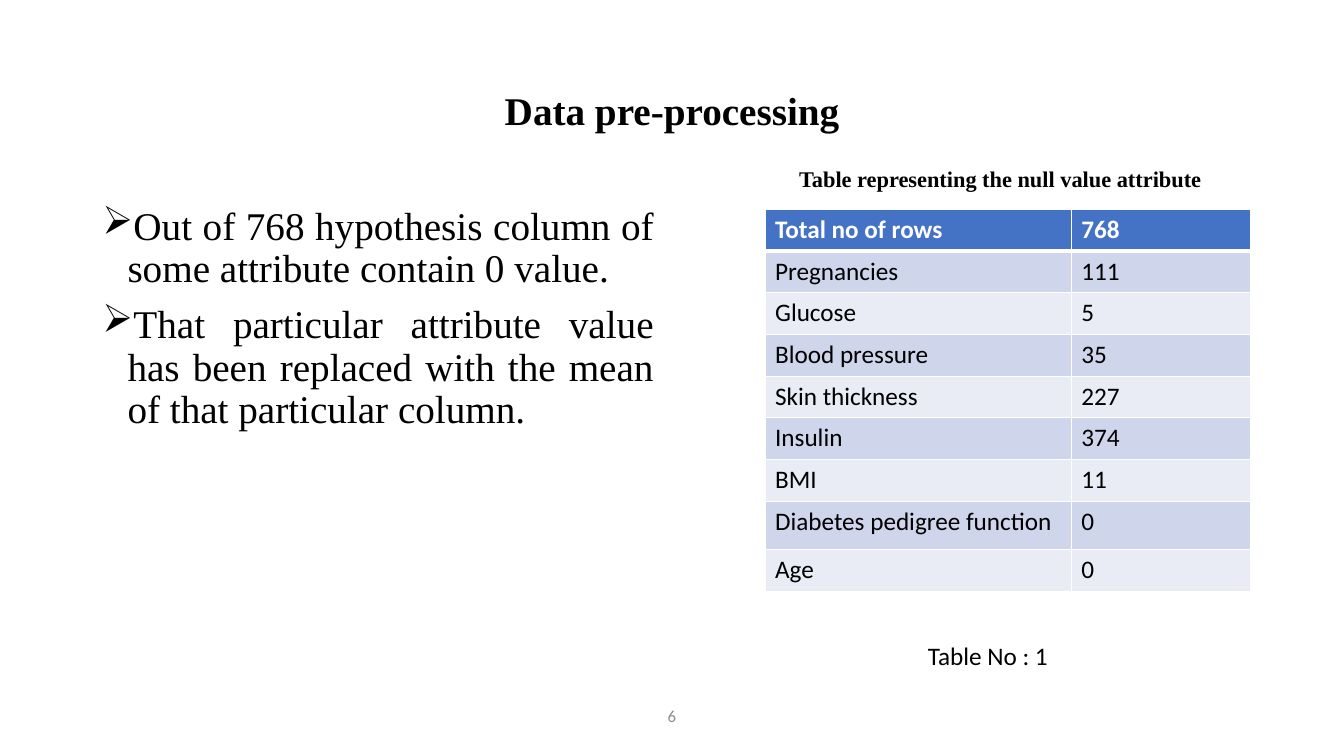
from lxml import etree
from pptx import Presentation
from pptx.dml.color import RGBColor
from pptx.enum.text import MSO_ANCHOR, PP_ALIGN
from pptx.oxml.ns import qn
from pptx.util import Cm, Pt

LEFT, MID, JUST = PP_ALIGN.LEFT, PP_ALIGN.CENTER, PP_ALIGN.JUSTIFY
TOP, CENTRE = MSO_ANCHOR.TOP, MSO_ANCHOR.MIDDLE
SERIF, SANS = "Times New Roman", "Calibri"
HUES = {
    "ink": "000000", "white": "FFFFFF", "grey": "8C8C8C",
    "head": "4472C4", "dark": "CFD5EA", "light": "E9EBF5",
}

TITLE = "Data pre-processing"
POINTS = [
    "Out of 768 hypothesis column of some attribute contain 0 value.",
    "That particular attribute value has been replaced with the mean "
    "of that particular column.",
]
CAPTION = "Table representing the null value attribute"
ROWS = [
    ("Total no of rows", "768"),
    ("Pregnancies", "111"),
    ("Glucose", "5"),
    ("Blood pressure", "35"),
    ("Skin thickness", "227"),
    ("Insulin", "374"),
    ("BMI", "11"),
    ("Diabetes pedigree function", "0"),
    ("Age", "0"),
]
LABEL = "Table No : 1"
PAGE = "6"

WIDTHS = (7.72, 4.52)
ROW_H, TALL_H, TALL = 1.05, 1.22, 7


def colour(name):
    return RGBColor.from_string(HUES[name])


def add_run(para, text, size, font, hue="ink", bold=False):
    run = para.add_run()
    run.text = text
    run.font.size = Pt(size)
    run.font.name = font
    run.font.bold = bold
    run.font.color.rgb = colour(hue)


def add_box(slide, area, lines, size, font, align=LEFT, anchor=TOP,
            hue="ink", bold=False):
    """Add a wrapped text box with one paragraph per line; return its paragraphs."""
    frame = slide.shapes.add_textbox(*map(Cm, area)).text_frame
    frame.word_wrap = True
    frame.vertical_anchor = anchor
    for i, line in enumerate(lines):
        para = frame.add_paragraph() if i else frame.paragraphs[0]
        para.alignment = align
        add_run(para, line, size, font, hue, bold)
    return frame.paragraphs


def add_bullet(para):
    para.line_spacing = 0.9
    para.space_before = Pt(10)
    props = para._p.get_or_add_pPr()
    props.set("marL", str(Cm(0.635)))
    props.set("indent", str(-Cm(0.635)))
    etree.SubElement(props, qn("a:buChar")).set("char", "➢")


def add_edges(cell, base):
    """Draw white cell borders, with the bottom one base points wide."""
    props = cell._tc.get_or_add_tcPr()
    for side, width in (("L", 1), ("R", 1), ("T", 1), ("B", base)):
        line = etree.SubElement(props, qn("a:ln" + side), w=str(Pt(width)))
        fill = etree.SubElement(line, qn("a:solidFill"))
        etree.SubElement(fill, qn("a:srgbClr"), val=HUES["white"])


def add_grid(slide, left, top):
    heights = [TALL_H if i == TALL else ROW_H for i in range(len(ROWS))]
    area = (left, top, sum(WIDTHS), sum(heights))
    table = slide.shapes.add_table(
        len(ROWS), len(WIDTHS), *map(Cm, area)).table
    for col, width in zip(table.columns, WIDTHS):
        col.width = Cm(width)
    for r, (row, height) in enumerate(zip(table.rows, heights)):
        row.height = Cm(height)
        head = r == 0
        band = "head" if head else "dark" if r % 2 else "light"
        for cell, text in zip(row.cells, ROWS[r]):
            add_edges(cell, 3 if head or r == 0 else 1)
            cell.fill.solid()
            cell.fill.fore_color.rgb = colour(band)
            add_run(cell.text_frame.paragraphs[0], text, 18, SANS,
                    "white" if head else "ink", head)


def main():
    deck = Presentation()
    deck.slide_width, deck.slide_height = Cm(33.87), Cm(19.05)
    slide = deck.slides.add_slide(deck.slide_layouts[6])

    title = add_box(slide, (2.33, 1.01, 29.21, 3.68), [TITLE], 28, SERIF,
                    MID, CENTRE, bold=True)
    title[0].line_spacing = 0.9
    for para in add_box(slide, (2.33, 5.07, 14.4, 12.09), POINTS, 28, SERIF,
                        JUST):
        add_bullet(para)
    add_grid(slide, 19.28, 5.28)
    add_box(slide, (19.89, 4.04, 11.66, 0.94), [CAPTION], 16, SERIF,
            bold=True)
    add_box(slide, (0, 17.53, 33.87, 1.02), [PAGE], 12, SANS, MID, CENTRE,
            "grey")
    add_box(slide, (21.21, 16, 7.37, 1.02), [LABEL], 18, SANS, MID)
    deck.save("out.pptx")


if __name__ == "__main__":
    main()
